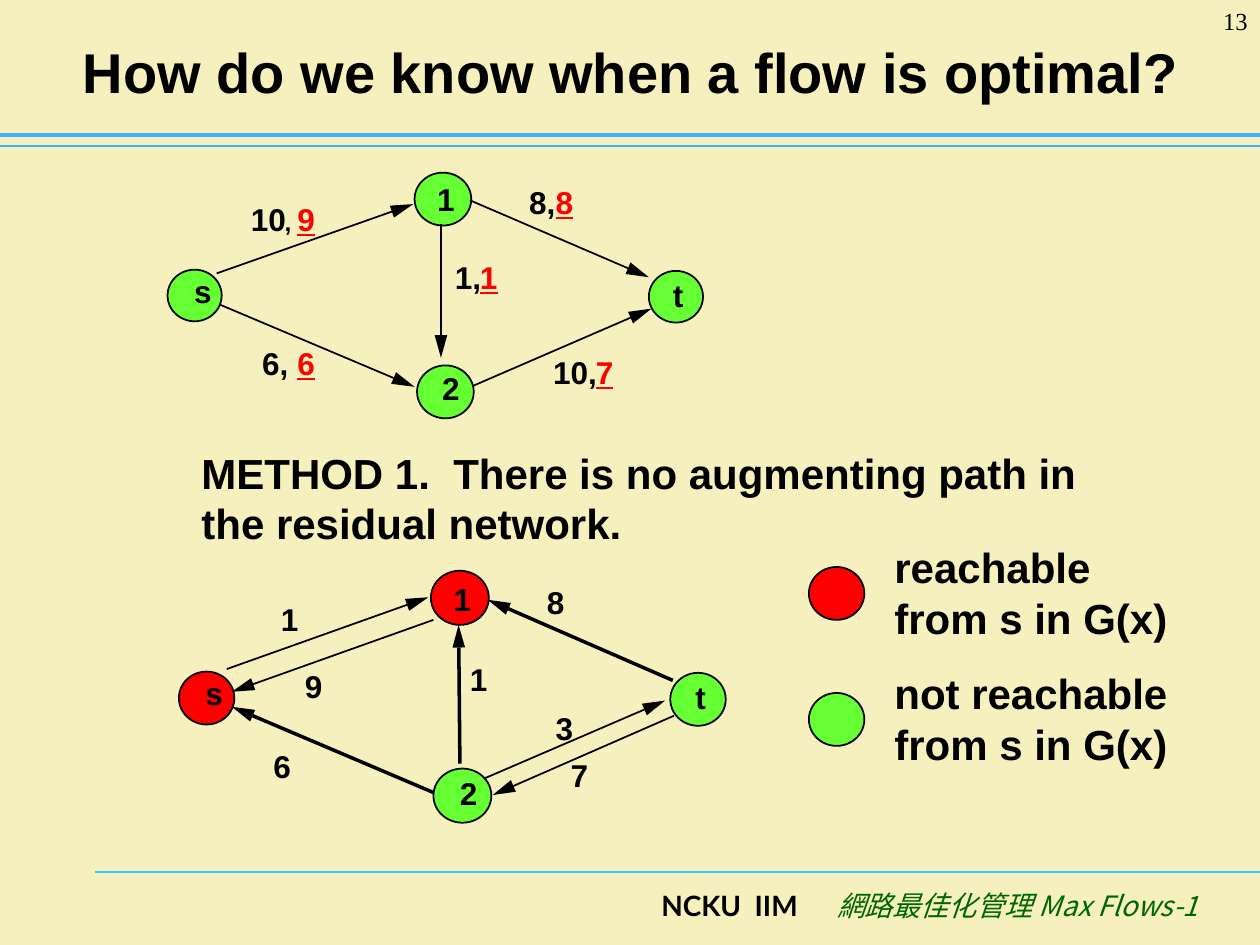
"""Build the slide on testing whether a flow is optimal."""
from dataclasses import dataclass
from math import hypot

from lxml import etree
from pptx import Presentation
from pptx.dml.color import RGBColor
from pptx.enum.shapes import MSO_CONNECTOR, MSO_SHAPE
from pptx.enum.text import MSO_ANCHOR, PP_ALIGN
from pptx.oxml.ns import qn
from pptx.util import Inches, Pt

STRAIGHT = MSO_CONNECTOR.STRAIGHT
OVAL = MSO_SHAPE.OVAL
LEFT, CENTER, RIGHT = PP_ALIGN.LEFT, PP_ALIGN.CENTER, PP_ALIGN.RIGHT
TOP, MIDDLE = MSO_ANCHOR.TOP, MSO_ANCHOR.MIDDLE


@dataclass(frozen=True)
class Theme:
    background: RGBColor = RGBColor.from_string("F5F0BD")
    ink: RGBColor = RGBColor.from_string("000000")
    red: RGBColor = RGBColor.from_string("FF0000")
    green: RGBColor = RGBColor.from_string("66FF33")
    rule: RGBColor = RGBColor.from_string("3DB0FF")
    footer_rule: RGBColor = RGBColor.from_string("33CCFF")
    footer: RGBColor = RGBColor.from_string("006600")
    font: str = "Arial"
    title: int = 32
    body: int = 24
    label: int = 18
    footer_size: int = 16
    small: int = 14


T = Theme()

prs = Presentation()
prs.slide_width, prs.slide_height = Inches(10), Inches(7.5)
s = prs.slides.add_slide(prs.slide_layouts[6])
s.background.fill.solid()
s.background.fill.fore_color.rgb = T.background


def add_text(text, box, size, color=T.ink, font=T.font, align=LEFT,
             anchor=TOP, bold=True, italic=False, underline=False, label=False):
    tf = s.shapes.add_textbox(*map(Inches, box)).text_frame
    tf.word_wrap = not label
    tf.vertical_anchor = anchor
    if label:
        tf.margin_left = tf.margin_right = tf.margin_top = tf.margin_bottom = 0
    p = tf.paragraphs[0]
    p.alignment = align
    r = p.add_run()
    r.text = text
    f = p.font
    f.name, f.size, f.bold, f.italic, f.underline = font, Pt(size), bold, italic, underline
    f.color.rgb = color
    for props in (p._p.pPr.find(qn("a:defRPr")), r._r.get_or_add_rPr()):
        etree.SubElement(props, qn("a:ea")).set("typeface", font)
    r.font.name, r.font.size, r.font.bold = font, Pt(size), bold
    r.font.italic, r.font.underline = italic, underline
    r.font.color.rgb = color


def add_line(x1, y1, x2, y2, width, color=T.ink):
    line = s.shapes.add_connector(STRAIGHT, *map(Inches, (x1, y1, x2, y2)))
    line.line.width = Pt(width)
    line.line.color.rgb = color
    etree.SubElement(line._element.spPr, qn("a:effectLst"))


add_line(0.75, 6.92, 10, 6.92, 0.75, T.footer_rule)
add_line(0, 1.16, 10, 1.16, 0.75, T.rule)
add_line(0, 1.07, 10, 1.07, 2.5, T.rule)

add_text("NCKU  IIM", (4.43, 7, 2, 0.5), T.footer_size, font="Lato", align=RIGHT)
add_text("網路最佳化管理 Max Flows-1", (6.43, 7, 3.18, 0.5), T.footer_size, T.footer,
         "Noto Sans CJK SC", RIGHT, bold=False, italic=True)
add_text("How do we know when a flow is optimal?", (0.51, 0.13, 9, 0.87), T.title,
         align=CENTER, anchor=MIDDLE)
add_text("METHOD 1.  There is no augmenting path in the residual network.",
         (1.5, 3.5, 7.42, 0.9), T.body)

nodes = [
    ("s", 1.33, 2.14, 0.43, 0.41, T.green, 1.54, 2.16),
    ("1", 3.29, 1.37, 0.45, 0.42, T.green, 3.47, 1.43),
    ("2", 3.31, 2.9, 0.45, 0.42, T.green, 3.51, 2.93),
    ("t", 5.15, 2.15, 0.43, 0.41, T.green, 5.34, 2.19),
    ("s", 1.42, 5.33, 0.44, 0.42, T.red, 1.63, 5.35),
    ("1", 3.42, 4.53, 0.46, 0.43, T.red, 3.6, 4.6),
    ("2", 3.44, 6.1, 0.46, 0.43, T.green, 3.65, 6.14),
    ("t", 5.32, 5.34, 0.44, 0.42, T.green, 5.52, 5.38),
    ("reachable from s in G(x)", 6.42, 4.5, 0.44, 0.42, T.red, 7, 4.25),
    ("not reachable from s in G(x)", 6.42, 5.5, 0.44, 0.42, T.green, 7, 5.25),
]
for text, x, y, w, h, color, text_x, text_y in nodes:
    sp = s.shapes.add_shape(OVAL, *map(Inches, (x, y, w, h)))
    sp.shadow.inherit = False
    sp.fill.solid()
    sp.fill.fore_color.rgb = color
    sp.line.color.rgb = T.ink
    sp.line.width = Pt(1)
    if len(text) == 1:
        add_text(text, (text_x, text_y, 0.14, 0.3), T.label, label=True)
    else:
        add_text(text, (text_x, text_y, 2.58, 0.9), T.body)

arcs = [
    (1.72, 2.17, 3.28, 1.62, 1),
    (1.75, 2.42, 3.29, 3.07, 1),
    (3.73, 1.59, 5.15, 2.2, 1),
    (3.76, 3.06, 5.17, 2.45, 1),
    (3.5, 1.78, 3.5, 2.84, 1),
    (1.8, 5.31, 3.4, 4.74, 1),
    (3.44, 6.29, 1.84, 5.61, 2),
    (5.34, 5.4, 3.87, 4.76, 2),
    (3.84, 6.18, 5.28, 5.56, 1),
    (3.65, 6.06, 3.64, 4.96, 2),
    (3.44, 4.92, 1.84, 5.49, 1),
    (5.35, 5.68, 3.91, 6.31, 1),
]
HEAD_LENGTH, HEAD_HALF = 0.18, 0.05
for x1, y1, x2, y2, width in arcs:
    length = hypot(x2 - x1, y2 - y1)
    ux, uy = (x2 - x1) / length, (y2 - y1) / length
    base_x, base_y = x2 - HEAD_LENGTH * ux, y2 - HEAD_LENGTH * uy
    corners = [(base_x + side * uy, base_y - side * ux) for side in (HEAD_HALF, -HEAD_HALF)]
    fb = s.shapes.build_freeform(Inches(x2), Inches(y2))
    fb.add_line_segments([(Inches(x), Inches(y)) for x, y in corners])
    head = fb.convert_to_shape()
    head.shadow.inherit = False
    head.fill.solid()
    head.fill.fore_color.rgb = T.ink
    head.line.fill.background()
    add_line(x1, y1, base_x, base_y, width)

capacities = [
    ("10", 1.99, 1.59), ("8,", 4.2, 1.45), ("1,", 3.61, 2.05), ("10,", 4.39, 2.8),
    ("6,", 2.08, 2.73), ("1", 2.23, 4.76), ("8", 4.34, 4.63), ("1", 3.73, 5.24),
    ("7", 4.53, 6), ("6", 2.17, 5.93), ("9", 2.42, 5.29), ("3", 4.41, 5.63),
]
for text, x, y in capacities:
    add_text(text, (x, y, 0.14 * len(text), 0.3), T.label, label=True)
add_text(",", (2.26, 1.64, 0.11, 0.23), T.small, label=True)

flows = [("9", 2.36, 1.59), ("8", 4.41, 1.45), ("1", 3.81, 2.05),
         ("7", 4.73, 2.8), ("6", 2.36, 2.73)]
for text, x, y in flows:
    add_text(text, (x, y, 0.14, 0.3), T.label, T.red, underline=True, label=True)

add_text("13", (9.17, 0, 0.83, 0.5), T.small, font="Times New Roman", align=RIGHT, bold=False)

prs.save("out.pptx")
